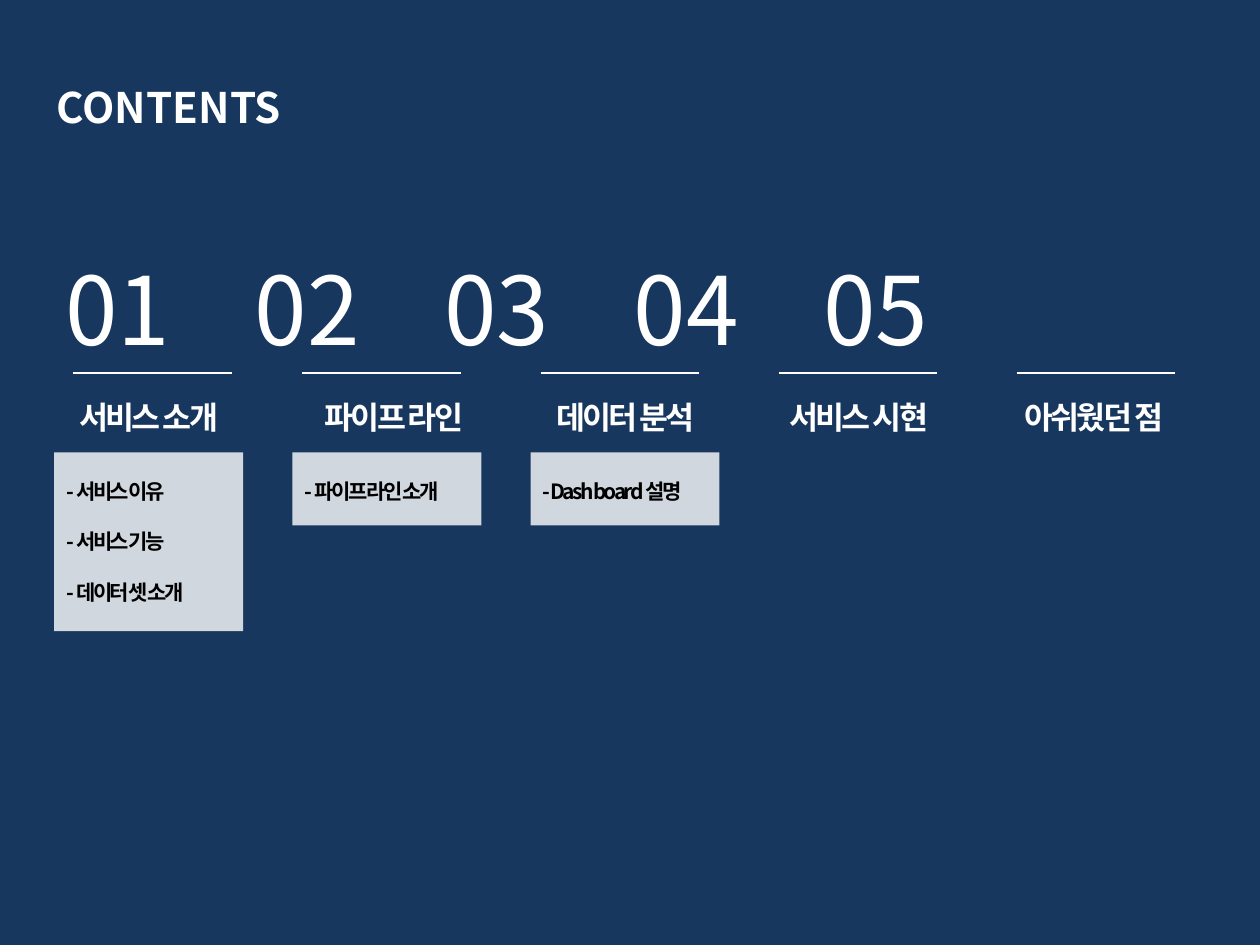
import pptx
import pptx.dml.color
import pptx.enum.shapes
import pptx.enum.text
import pptx.util
from lxml import etree
from pptx.oxml.ns import qn

Pt = pptx.util.Pt
Align = pptx.enum.text.PP_ALIGN
Anchor = pptx.enum.text.MSO_ANCHOR
NAVY = pptx.dml.color.RGBColor(0x17, 0x37, 0x5E)
WHITE = pptx.dml.color.RGBColor(0xFF, 0xFF, 0xFF)
BLACK = pptx.dml.color.RGBColor(0x00, 0x00, 0x00)
BODY_FONT = "Noto Sans CJK KR"
HEADING_FONT = "Arial"

COLUMN_STEP = 136.1
NUMBER_STEP = 108.3
RULE_WIDTH = 90.7
CARD_WIDTH = 108
SECTIONS = [
    ("서비스 소개", 41.8, 85, ["- 서비스 이유", "- 서비스 기능", "- 데이터 셋 소개"], 102.2),
    ("파이프 라인 ", 172.8, 226.4, ["- 파이프 라인 소개"], 41.8),
    ("데이터 분석", 308.9, 357.5, ["- Dash board 설명"], 41.8),
    ("서비스 시현", 445, 490.7, [], 0),
    ("아쉬웠던 점", 581, 625, [], 0),
]


def style(para, name, size, color, bold=False, spacing=0, align=Align.LEFT):
    para.alignment = align
    font = para.font
    font.name, font.size, font.bold = name, Pt(size), bold
    font.color.rgb = color
    if spacing:
        font._element.set("spc", str(round(spacing * 100)))


def add_text_box(page, left, top, width, height):
    box = page.shapes.add_textbox(Pt(left), Pt(top), Pt(width), Pt(height))
    box.text_frame.word_wrap = True
    return box.text_frame


def add_title(page, left, top, width, height):
    title = page.shapes.title
    title.left, title.top, title.width, title.height = Pt(left), Pt(top), Pt(width), Pt(height)
    frame = title.text_frame
    frame.text = "CONTENTS"
    frame.vertical_anchor = Anchor.TOP
    frame.auto_size = pptx.enum.text.MSO_AUTO_SIZE.NONE
    style(frame.paragraphs[0], BODY_FONT, 24, WHITE, bold=True)


def add_numbers(page, left, top, width, height):
    frame = add_text_box(page, left, top, width, height)
    para = frame.paragraphs[0]
    para.text = "\t".join(f"{number:02d}" for number in range(1, len(SECTIONS) + 1))
    tabs = etree.SubElement(para._p.get_or_add_pPr(), qn("a:tabLst"))
    for index in range(1, len(SECTIONS)):
        position = Pt(NUMBER_STEP * index)
        etree.SubElement(tabs, qn("a:tab"), pos=str(position), algn="l")
    style(para, BODY_FONT, 54, WHITE)


def add_rule(page, left, top, width):
    rule = page.shapes.add_connector(
        pptx.enum.shapes.MSO_CONNECTOR.STRAIGHT, Pt(left), Pt(top), Pt(left + width), Pt(top))
    rule.line.color.rgb = WHITE
    rule.line.width = Pt(0.75)
    etree.SubElement(rule._element.spPr, qn("a:effectLst"))


def add_heading(page, text, left, top, width, height):
    para = add_text_box(page, left, top, width, height).paragraphs[0]
    para.text = text
    style(para, HEADING_FONT, 18, WHITE, bold=True, spacing=-1.5, align=Align.CENTER)


def add_card(page, items, left, top, width, height):
    card = page.shapes.add_shape(
        pptx.enum.shapes.MSO_SHAPE.RECTANGLE, Pt(left), Pt(top), Pt(width), Pt(height))
    card.shadow.inherit = False
    card.fill.solid()
    card.fill.fore_color.rgb = WHITE
    color = card._element.spPr.find(qn("a:solidFill")).find(qn("a:srgbClr"))
    etree.SubElement(color, qn("a:alpha"), val="80000")
    card.line.fill.background()
    frame = card.text_frame
    frame.word_wrap = True
    frame.vertical_anchor = Anchor.TOP
    frame.margin_top = Pt(15)
    for index, item in enumerate(items):
        para = frame.add_paragraph() if index else frame.paragraphs[0]
        para.text = item
        if index:
            para.space_before = Pt(14.4)
        style(para, BODY_FONT, 12, BLACK, bold=True, spacing=-1.5)


def add_sections(page, left, top):
    for index, (heading, rule_left, center, items, card_height) in enumerate(SECTIONS):
        add_rule(page, rule_left, top, RULE_WIDTH)
        add_heading(page, heading, center - 65, top + 10.8, 130, 28.8)
        if items:
            add_card(page, items, left + COLUMN_STEP * index, top + 45.4, CARD_WIDTH, card_height)


def main():
    deck = pptx.Presentation()
    deck.slide_width, deck.slide_height = Pt(720), Pt(540)
    page = deck.slides.add_slide(deck.slide_layouts[5])
    page.background.fill.solid()
    page.background.fill.fore_color.rgb = NAVY
    add_title(page, 25.2, 43.2, 329, 36)
    add_numbers(page, 30.2, 139.7, 668.9, 72.7)
    add_sections(page, 31, 213.1)
    deck.save("out.pptx")


if __name__ == "__main__":
    main()
